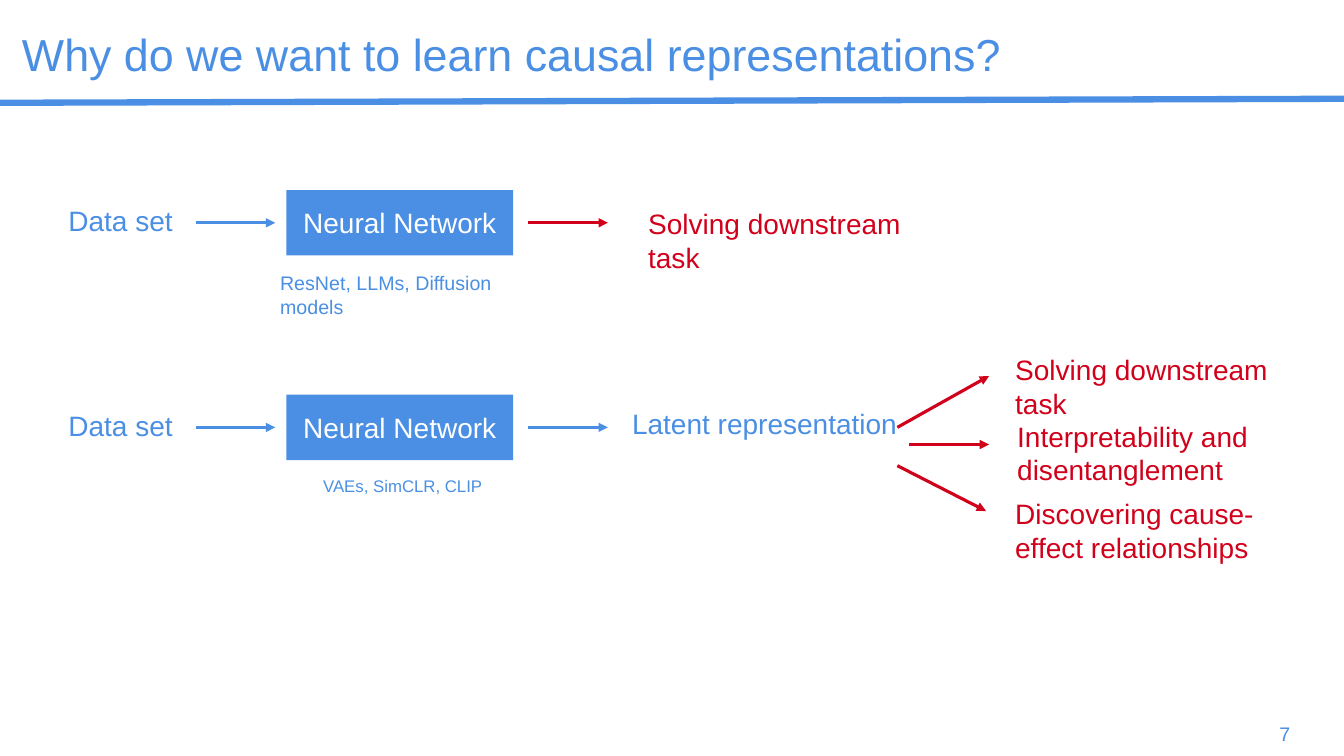
"""Build a slide comparing task learning with causal representation learning."""
from lxml import etree
from pptx import Presentation
from pptx.dml.color import RGBColor
from pptx.enum.shapes import MSO_CONNECTOR, MSO_SHAPE
from pptx.enum.text import MSO_ANCHOR, PP_ALIGN
from pptx.oxml.ns import qn
from pptx.util import Inches, Pt

LEFT, CENTER = PP_ALIGN.LEFT, PP_ALIGN.CENTER
TOP, MIDDLE = MSO_ANCHOR.TOP, MSO_ANCHOR.MIDDLE
RECTANGLE, STRAIGHT = MSO_SHAPE.RECTANGLE, MSO_CONNECTOR.STRAIGHT

COLORS = {"blue": "4A8FE3", "red": "D1011B", "white": "FFFFFF"}
FONT = "Arial"
WIDTH, HEIGHT = 13.33, 7.5

TITLE = "Why do we want to learn causal representations?"
PAGE_NUMBER = "7"
SOURCE, MODEL = "Data set", "Neural Network"
PIPELINES = [
    {"row": 2.21, "arrow": "red",
     "examples": ("ResNet, LLMs, Diffusion models", 2.9, 0.43, 14, LEFT),
     "result": ("Solving downstream task", 6.33, -0.21, 3.15, "red")},
    {"row": 4.24, "arrow": "blue",
     "examples": ("VAEs, SimCLR, CLIP", 2.63, 0.43, 12, CENTER),
     "result": ("Latent representation", 6.17, -0.26, 2.85, "blue")},
]
BENEFITS = [
    ("Solving downstream task", (9.97, 3.45), (8.9, 4.24), (9.81, 3.73)),
    ("Interpretability and disentanglement", (9.99, 4.11), (9.02, 4.41), (9.81, 4.41)),
    ("Discovering cause-effect relationships", (9.97, 4.88), (8.9, 4.62), (9.78, 5.07)),
]

SOURCE_LEFT, MODEL_LEFT, EXAMPLES_LEFT = 0.58, 2.84, 2.68
MODEL_WIDTH, MODEL_HEIGHT = 2.25, 0.65
ARROW_LENGTH = 0.79
ARROW_LEFTS = (1.94, 5.24)
RESULT_WIDTH = 3.15

deck = Presentation()
deck.slide_width, deck.slide_height = Inches(WIDTH), Inches(HEIGHT)
page = deck.slides.add_slide(deck.slide_layouts[6])


def color(name):
    return RGBColor.from_string(COLORS[name])


def write(text, left, top, width, height=0.44, size=20, ink="blue",
          align=LEFT, anchor=TOP, wrap=True, fill=None):
    area = [Inches(length) for length in (left, top, width, height)]
    if fill:
        box = page.shapes.add_shape(RECTANGLE, *area)
        box.shadow.inherit = False
        box.fill.solid()
        box.fill.fore_color.rgb = color(fill)
        box.line.fill.background()
    else:
        box = page.shapes.add_textbox(*area)
    frame = box.text_frame
    frame.word_wrap = wrap
    frame.vertical_anchor = anchor
    para = frame.paragraphs[0]
    para.alignment = align
    span = para.add_run()
    span.text = text
    span.font.name, span.font.size = FONT, Pt(size)
    span.font.color.rgb = color(ink)


def connect(start, end, ink, weight=2.25, arrow=True):
    points = [Inches(length) for length in (*start, *end)]
    line = page.shapes.add_connector(STRAIGHT, *points)
    line.line.color.rgb = color(ink)
    line.line.width = Pt(weight)
    if arrow:
        etree.SubElement(line.line._get_or_add_ln(), qn("a:tailEnd"), type="triangle")
    etree.SubElement(line._element.spPr, qn("a:effectLst"))


write(TITLE, 0.12, 0.22, 12.94, 0.64, size=32)
connect((0, 1.02), (WIDTH, 0.98), "blue", weight=4.5, arrow=False)

for pipeline in PIPELINES:
    row = pipeline["row"]
    write(SOURCE, SOURCE_LEFT, row - 0.24, 2.1)
    write(MODEL, MODEL_LEFT, row - MODEL_HEIGHT / 2, MODEL_WIDTH, MODEL_HEIGHT,
          ink="white", align=CENTER, anchor=MIDDLE, fill="blue")
    for left, ink in zip(ARROW_LEFTS, ("blue", pipeline["arrow"])):
        connect((left, row), (left + ARROW_LENGTH, row), ink)
    text, width, drop, size, align = pipeline["examples"]
    write(text, EXAMPLES_LEFT, row + drop, width, 0.34, size=size, align=align)
    text, left, drop, width, ink = pipeline["result"]
    write(text, left, row + drop, width, ink=ink)

for text, corner, start, end in BENEFITS:
    connect(start, end, "red")
    write(text, *corner, RESULT_WIDTH, 0.77, ink="red")

write(PAGE_NUMBER, 12.59, 7.11, 0.31, 0.34, size=14, wrap=False)

deck.save("out.pptx")
